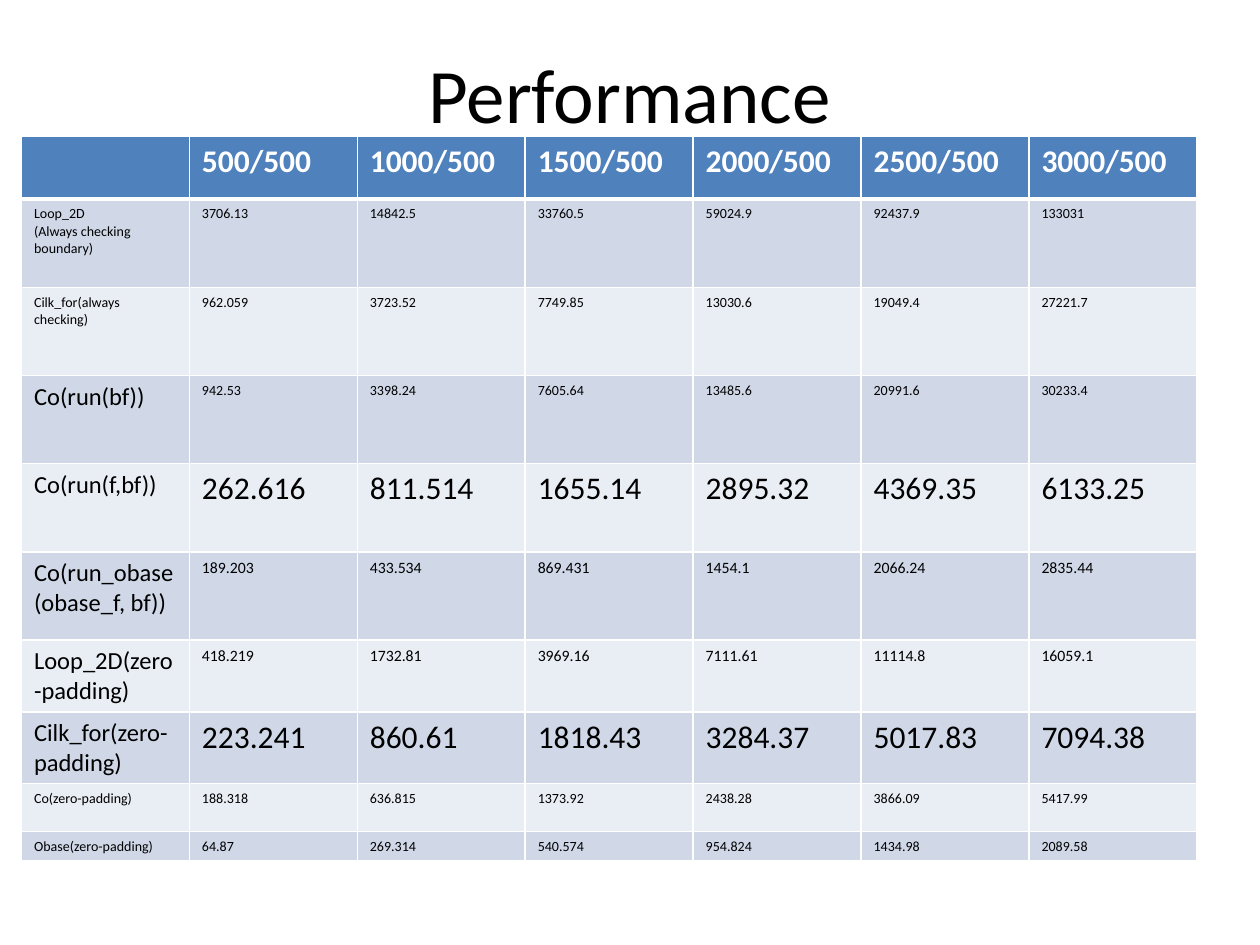
from lxml.etree import SubElement
from pptx import Presentation
from pptx.dml.color import RGBColor
from pptx.enum.text import MSO_ANCHOR as Anchor, PP_ALIGN as Align
from pptx.oxml.ns import qn
from pptx.util import Inches, Pt

FONT = "Calibri"
COLORS = {"text": "000000", "white": "FFFFFF", "header": "4F81BD",
          "odd": "D0D8E8", "even": "E9EDF4"}

HEADINGS = ["", "500/500", "1000/500", "1500/500", "2000/500", "2500/500", "3000/500"]

# Row height, label size, value size, label, values
ROWS = [
    (0.7, 8, 8, "Loop_2D\n(Always checking boundary)",
     "3706.13 14842.5 33760.5 59024.9 92437.9 133031"),
    (0.7, 8, 8, "Cilk_for(always checking)",
     "962.059 3723.52 7749.85 13030.6 19049.4 27221.7"),
    (0.7, 14, 8, "Co(run(bf))",
     "942.53 3398.24 7605.64 13485.6 20991.6 30233.4"),
    (0.7, 14, 18, "Co(run(f,bf))",
     "262.616 811.514 1655.14 2895.32 4369.35 6133.25"),
    (0.7, 14, 9, "Co(run_obase(obase_f, bf))",
     "189.203 433.534 869.431 1454.1 2066.24 2835.44"),
    (0.57, 14, 9, "Loop_2D(zero-padding)",
     "418.219 1732.81 3969.16 7111.61 11114.8 16059.1"),
    (0.57, 14, 18, "Cilk_for(zero-padding)",
     "223.241 860.61 1818.43 3284.37 5017.83 7094.38"),
    (0.38, 8, 8, "Co(zero-padding)",
     "188.318 636.815 1373.92 2438.28 3866.09 5417.99"),
    (0.23, 8, 8, "Obase(zero-padding)",
     "64.87 269.314 540.574 954.824 1434.98 2089.58"),
]


def rgb(name):
    """Return the named colour."""
    return RGBColor.from_string(COLORS[name])


def style_text(frame, size, color, bold=False):
    """Set the font of every paragraph in a text frame."""
    for para in frame.paragraphs:
        font = para.font
        font.name, font.size, font.bold = FONT, Pt(size), bold
        font.color.rgb = rgb(color)


def add_borders(cell, top=1, bottom=1):
    """Draw white lines, with widths in points, around a cell."""
    properties = cell._tc.get_or_add_tcPr()
    for side, width in (("L", 1), ("R", 1), ("T", top), ("B", bottom)):
        line = SubElement(properties, qn(f"a:ln{side}"), w=str(Pt(width)))
        fill = SubElement(line, qn("a:solidFill"))
        SubElement(fill, qn("a:srgbClr"), val=COLORS["white"])


def fill_cell(cell, text, size, fill, color="text", bold=False, top=1, bottom=1):
    """Write one table cell with its borders, fill and font."""
    cell.text = text
    add_borders(cell, top, bottom)
    cell.fill.solid()
    cell.fill.fore_color.rgb = rgb(fill)
    style_text(cell.text_frame, size, color, bold)


def add_title(page, left, top, width, height):
    """Place the centred slide title."""
    box = page.shapes.add_textbox(Inches(left), Inches(top), Inches(width), Inches(height))
    frame = box.text_frame
    frame.word_wrap = True
    frame.vertical_anchor = Anchor.MIDDLE
    frame.text = "Performance"
    frame.paragraphs[0].alignment = Align.CENTER
    style_text(frame, 44, "text")


def add_timings(page, left, top, width, header_height):
    """Place the timing table with equal columns."""
    height = header_height + sum(row[0] for row in ROWS)
    table = page.shapes.add_table(len(ROWS) + 1, len(HEADINGS), Inches(left), Inches(top),
                                  Inches(width), Inches(height)).table
    table.rows[0].height = Inches(header_height)
    for col, heading in enumerate(HEADINGS):
        fill_cell(table.cell(0, col), heading, 18, "header", "white", bold=True, bottom=3)
    for index, (row_height, label_size, value_size, label, values) in enumerate(ROWS, 1):
        table.rows[index].height = Inches(row_height)
        fill = "odd" if index % 2 else "even"
        for col, text in enumerate([label, *values.split()]):
            fill_cell(table.cell(index, col), text, value_size if col else label_size,
                      fill, top=3 if index == 1 else 1)


def main():
    """Build and save the deck."""
    deck = Presentation()
    deck.slide_width, deck.slide_height = Inches(10), Inches(7.5)
    page = deck.slides.add_slide(deck.slide_layouts[6])
    add_title(page, 0.5, 0.3, 9, 0.87)
    add_timings(page, 0.17, 1.08, 9.33, 0.5)
    deck.save("out.pptx")


main()
